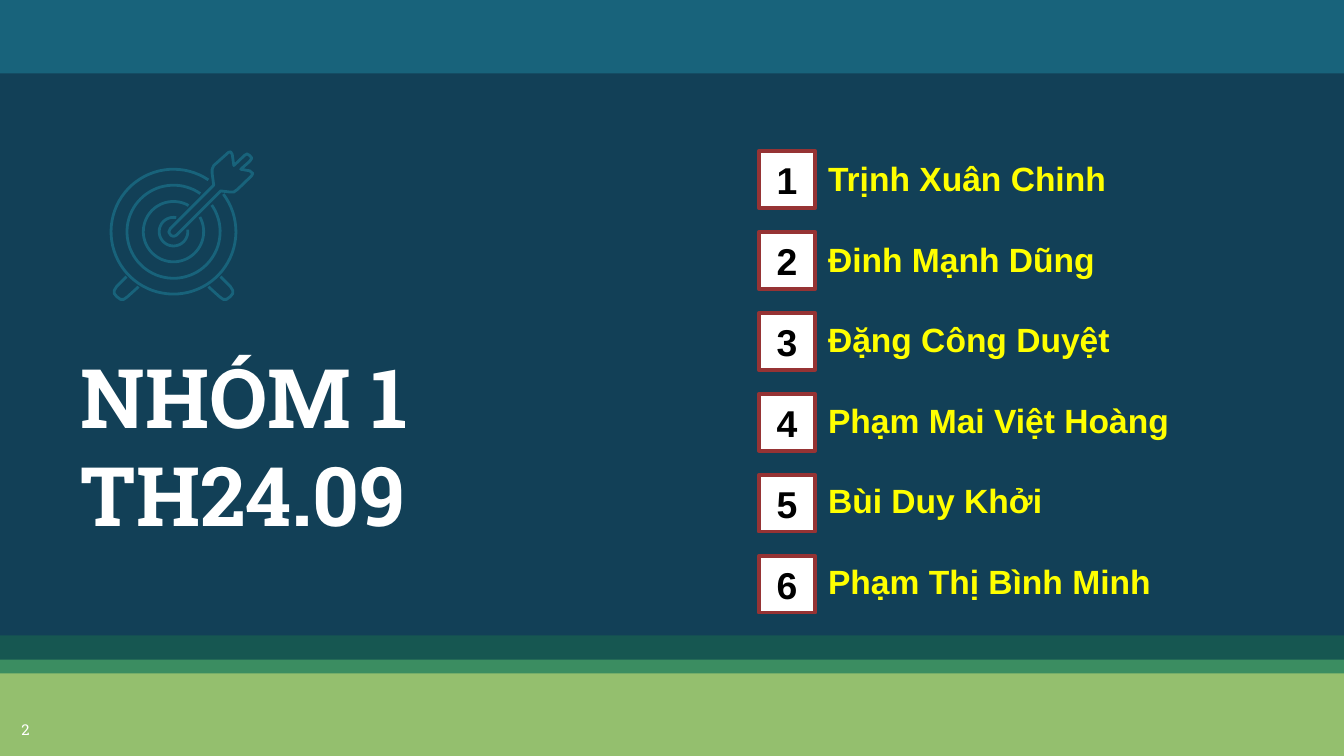
"""Build the group members slide with a target icon and a numbered list of names."""
import math

from pptx import Presentation
from pptx import util as u
from pptx.dml.color import RGBColor
from pptx.enum import shapes, text

COLOURS = {
    "moss": "165751", "teal": "18637B", "navy": "124057", "green": "3B8D61",
    "lime": "94BF6E", "white": "FFFFFF", "yellow": "FFFF00", "red": "963334",
    "black": "000000",
}
NAMES = [
    "Trịnh Xuân Chinh", "Đinh Mạnh Dũng", "Đặng Công Duyệt",
    "Phạm Mai Việt Hoàng", "Bùi Duy Khởi", "Phạm Thị Bình Minh",
]


def colour(name):
    return RGBColor.from_string(COLOURS[name])


def style_text(para, font, size, tint, bold, align):
    para.font.name = font
    para.font.size = u.Pt(size)
    para.font.bold = bold
    para.font.color.rgb = colour(tint)
    para.alignment = align


deck = Presentation()
deck.slide_width, deck.slide_height = u.Cm(25.4), u.Cm(14.29)
page = deck.slides.add_slide(deck.slide_layouts[5])

bands = [
    ("moss", 11.91, 0.69), ("teal", 0, 1.47), ("navy", 1.39, 10.62),
    ("green", 12.47, 0.33), ("lime", 12.73, 1.56),
]
for tint, top, height in bands:
    band = page.shapes.add_shape(
        shapes.MSO_SHAPE.RECTANGLE, 0, u.Cm(top), deck.slide_width, u.Cm(height))
    band.shadow.inherit = False
    band.fill.solid()
    band.fill.fore_color.rgb = colour(tint)
    band.line.fill.background()

title = page.shapes.title
title.left, title.top, title.width, title.height = (
    u.Cm(1.28), u.Cm(6.68), u.Cm(7.85), u.Cm(3.84))
title.text_frame.text = "NHÓM 1\vTH24.09"
title.text_frame.vertical_anchor = text.MSO_ANCHOR.BOTTOM
title.text_frame.auto_size = text.MSO_AUTO_SIZE.NONE
title_para = title.text_frame.paragraphs[0]
title_para.line_spacing = 1.0
style_text(title_para, "Roboto Slab", 44, "white", True, text.PP_ALIGN.LEFT)
page.shapes._spTree.append(title._element)

number = page.shapes.add_textbox(0, u.Cm(13.46), u.Cm(0.97), u.Cm(0.83))
number.text_frame.text = "2"
number.text_frame.word_wrap = True
style_text(number.text_frame.paragraphs[0], "Roboto Slab", 8, "white", False,
           text.PP_ALIGN.CENTER)

for frame in (title.text_frame, number.text_frame):
    frame.margin_left = frame.margin_right = u.Cm(0.25)
    frame.margin_top = frame.margin_bottom = u.Cm(0.25)

members = page.shapes.add_textbox(u.Cm(15.4), u.Cm(2.87), u.Cm(8.89), u.Cm(8.71))
members.text_frame.word_wrap = True
members.text_frame.text = "\n".join(NAMES)
for index, para in enumerate(members.text_frame.paragraphs):
    style_text(para, "Arial", 18, "yellow", True, text.PP_ALIGN.LEFT)
    para.space_before = u.Pt(21.5 if index else 0)

for index in range(len(NAMES)):
    box = page.shapes.add_shape(
        shapes.MSO_SHAPE.RECTANGLE, u.Cm(14.34), u.Cm(2.86 + 1.53 * index),
        u.Cm(1.07), u.Cm(1.07))
    box.shadow.inherit = False
    box.fill.solid()
    box.fill.fore_color.rgb = colour("white")
    box.line.color.rgb = colour("red")
    box.line.width = u.Pt(2)
    box.text_frame.text = str(index + 1)
    box.text_frame.vertical_anchor = text.MSO_ANCHOR.MIDDLE
    style_text(box.text_frame.paragraphs[0], "Arial", 20, "black", True,
               text.PP_ALIGN.CENTER)

centre_x, centre_y = 3.28, 4.38
rings = [(1.18, 56, 37), (0.88, 55, 35), (0.57, 60, 29), (0.27, 79, 8)]
outlines = []
for radius, start, end in rings:
    sweep = 360 - start + end
    angles = [math.radians(start + sweep * step / 72) for step in range(73)]
    outlines.append(([(centre_x + radius * math.cos(angle),
                       centre_y - radius * math.sin(angle)) for angle in angles], False))

left_foot = [
    (2.39, 5.23), (2.21, 5.41), (2.16, 5.49), (2.16, 5.55), (2.21, 5.61),
    (2.28, 5.66), (2.34, 5.66), (2.41, 5.61), (2.62, 5.42),
]
right_foot = [(2 * centre_x - x, y) for x, y in left_foot]
arrow = [
    (4.72, 3.23), (4.55, 3.2), (4.72, 3.05), (4.76, 2.99), (4.72, 2.94),
    (4.67, 2.91), (4.62, 2.94), (4.42, 3.13), (4.39, 2.92), (4.36, 2.87),
    (4.32, 2.88), (4.04, 3.13), (4.01, 3.2), (4.01, 3.28), (4.04, 3.5),
    (3.22, 4.32), (3.19, 4.39), (3.23, 4.45), (3.28, 4.47), (3.33, 4.45),
    (4.17, 3.61), (4.34, 3.63), (4.42, 3.63), (4.49, 3.58), (4.75, 3.33),
    (4.78, 3.28),
]
outlines += [(left_foot, False), (right_foot, False), (arrow, True)]

icon = page.shapes.add_group_shape()
for points, closed in outlines:
    corners = [(u.Cm(x), u.Cm(y)) for x, y in points]
    builder = icon.shapes.build_freeform(*corners[0])
    builder.add_line_segments(corners[1:], close=closed)
    stroke = builder.convert_to_shape()
    stroke.shadow.inherit = False
    stroke.fill.background()
    stroke.line.color.rgb = colour("teal")
    stroke.line.width = u.Pt(1.5)

deck.save("out.pptx")
